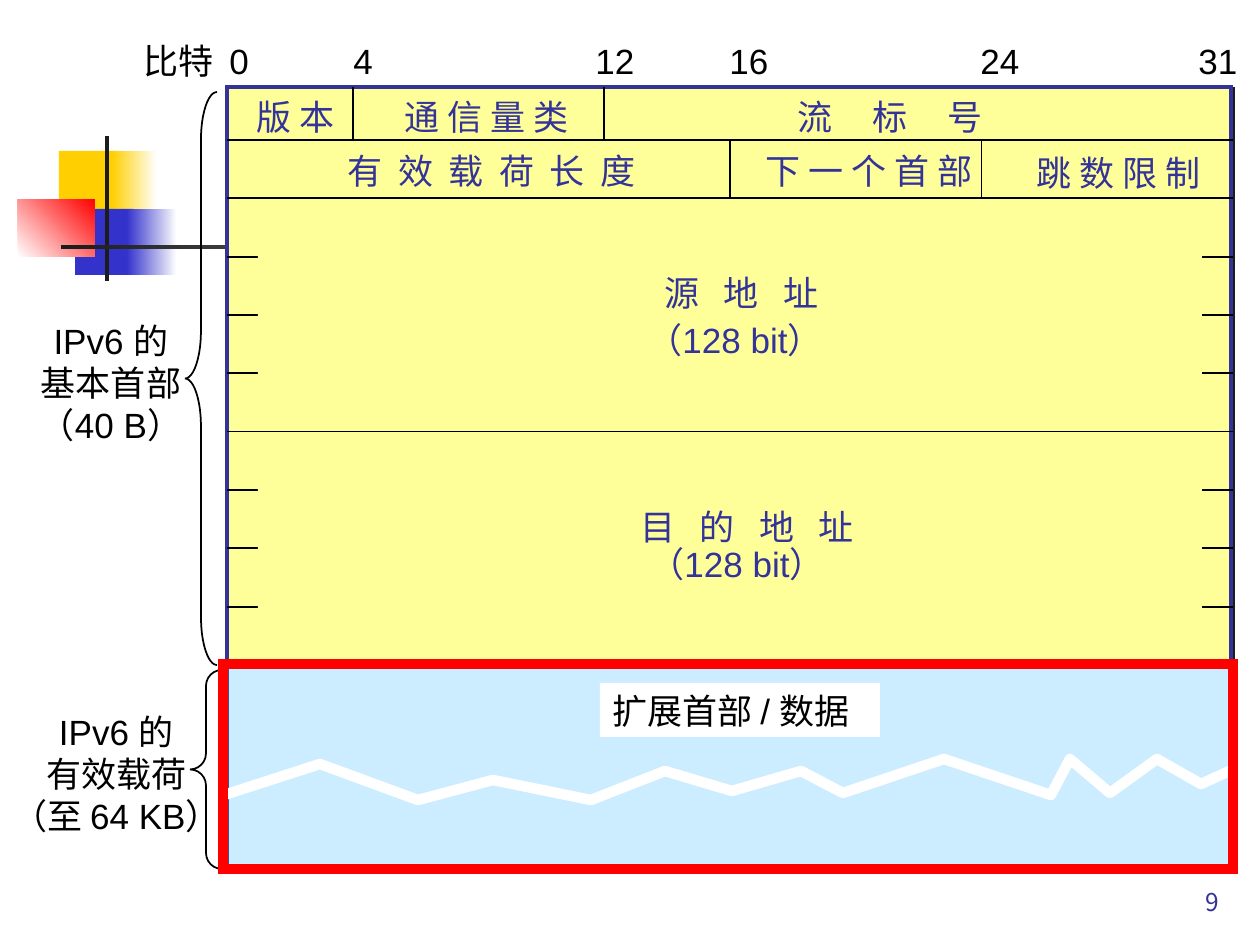
import pptx
import pptx.util
from lxml import etree
from pptx.dml.color import RGBColor
from pptx.enum.shapes import MSO_CONNECTOR, MSO_SHAPE
from pptx.enum.text import MSO_ANCHOR, PP_ALIGN
from pptx.oxml.ns import qn

SCALE = 914400 / 126
BLACK, WHITE, NAVY, RED = "000000", "FFFFFF", "333399", "FF0000"
YELLOW, SKY, CHARCOAL = "FFFF99", "CCECFF", "1C1C1C"
TEXT_HEIGHT = 54


def px(value):
    return pptx.util.Emu(round(value * SCALE))


def color(value):
    return RGBColor.from_string(value)


def set_line(shape, line_color, width):
    shape.line.color.rgb = color(line_color)
    shape.line.width = pptx.util.Pt(width)


def add_box(slide, left, top, width, height, fill=None, line=None,
            kind=MSO_SHAPE.RECTANGLE):
    """Fill is a colour, a (start, end, angle) gradient or None."""
    shape = slide.shapes.add_shape(kind, px(left), px(top), px(width), px(height))
    shape.shadow.inherit = False
    if fill is None:
        shape.fill.background()
    elif isinstance(fill, str):
        shape.fill.solid()
        shape.fill.fore_color.rgb = color(fill)
    else:
        shape.fill.gradient()
        shape.fill.gradient_angle = fill[2]
        for stop, stop_color in zip(shape.fill.gradient_stops, fill):
            stop.color.rgb = color(stop_color)
    if line:
        set_line(shape, *line)
        # Square corners
        etree.SubElement(shape._element.spPr.find(qn("a:ln")), qn("a:miter"),
                         lim="800000")
    else:
        shape.line.fill.background()
    return shape


def add_rule(slide, x1, y1, x2, y2):
    rule = slide.shapes.add_connector(
        MSO_CONNECTOR.STRAIGHT, px(x1), px(y1), px(x2), px(y2))
    set_line(rule, BLACK, 1)
    etree.SubElement(rule._element.spPr, qn("a:effectLst"))


def write(shape, text, text_color=BLACK, align=PP_ALIGN.LEFT, spacing=0,
          size=20, font="Arial"):
    """Spacing is extra letter spacing in hundredths of a point."""
    frame = shape.text_frame
    frame.word_wrap = False
    frame.text = text
    for paragraph in frame.paragraphs:
        paragraph.alignment = align
        for run in paragraph.runs:
            run.font.size = pptx.util.Pt(size)
            run.font.name = font
            run.font.color.rgb = color(text_color)
            if spacing:
                run._r.get_or_add_rPr().set("spc", str(spacing))


def add_label(slide, left, top, width, text, height=TEXT_HEIGHT, **style):
    box = slide.shapes.add_textbox(px(left), px(top), px(width), px(height))
    write(box, text, **style)
    return box


def add_decoration(slide, left, top):
    parts = [
        (41, 15, 60, 66, "FFCF01"),
        (94, 15, 45, 66, ("FFCF01", WHITE, 0)),
        (57, 73, 58, 66, "3333CC"),
        (109, 73, 50, 66, ("3333CC", WHITE, 0)),
        (0, 63, 77, 58, (WHITE, RED, 45)),
        (87, 0, 4, 145, CHARCOAL),
        (43, 109, 1134, 4, (CHARCOAL, WHITE, 0)),
    ]
    for x, y, width, height, fill in parts:
        add_box(slide, left + x, top + y, width, height, fill)


def add_bit_scale(slide, left, top):
    labels = [(0, 96, "比特"), (86, 44, "0"), (210, 44, "4"), (452, 64, "12"),
              (586, 64, "16"), (837, 64, "24"), (1055, 64, "31")]
    for x, width, text in labels:
        add_label(slide, left + x, top, width, text)


def add_header(slide, left, top, width):
    first_row, row_height = 53, 175 / 3

    def row_top(row):
        return top + first_row + row * row_height

    # Packet body with a thin hard shadow
    body = add_box(slide, left, top, 1004, 782, YELLOW, (NAVY, 2.25))
    effects = body._element.spPr.find(qn("a:effectLst"))
    shadow = etree.SubElement(effects, qn("a:outerShdw"), dist="17780",
                              dir="2700000", algn="ctr", rotWithShape="0")
    etree.SubElement(shadow, qn("a:srgbClr"), val=CHARCOAL)

    # 32-bit rows, with only ticks left inside each address
    for row in range(10):
        add_rule(slide, left, row_top(row), left + width, row_top(row))
    for first_tick in (2, 6):
        add_box(slide, left + 31, row_top(first_tick) - 19, 944, 156, YELLOW)

    # Field borders by bit number
    for bit, y1, y2 in [(4, top, row_top(0)), (12, top, row_top(0)),
                        (16, row_top(0), row_top(1)), (24, row_top(0), row_top(1))]:
        x = left + bit * width / 32
        add_rule(slide, x, y1, x, y2)

    # Field names: left, top, width, text, letter spacing
    fields = [
        (17, 2, 103, "版 本", 0), (165, 2, 189, "通 信 量 类", 0),
        (558, 2, 230, "流 标 号", 925), (108, 56, 324, "有 效 载 荷 长 度", 220),
        (526, 56, 232, "下 一 个 首 部", 0), (797, 58, 189, "跳 数 限 制", 0),
        (425, 178, 192, "源 地 址", 470), (401, 412, 250, "目 的 地 址", 470),
        (424, 225, 217, "（128 bit）", 0), (426, 449, 217, "（128 bit）", 0),
    ]
    for x, y, field_width, text, spacing in fields:
        # The 128-bit captions are centred on their boxes
        centred = text.startswith("（")
        add_label(slide, left + x - 16 * centred, top + y, field_width, text,
                  text_color=NAVY, spacing=spacing)


def add_payload(slide, left, top):
    add_box(slide, left + 6, top + 4, 1002, 202, SKY)
    caption = add_box(slide, left + 377, top + 19, 280, TEXT_HEIGHT, WHITE)
    write(caption, "扩展首部 / 数据")

    # Torn line across the data
    points = [(-8, 134), (97, 100), (195, 136), (270, 116), (368, 136),
              (442, 107), (509, 127), (578, 107), (620, 129), (721, 95),
              (828, 131), (847, 95), (887, 129), (934, 95), (978, 120), (1037, 93)]
    vertices = [(px(left + x), px(top + y)) for x, y in points]
    builder = slide.shapes.build_freeform(*vertices[0], scale=1.0)
    builder.add_line_segments(vertices[1:], close=False)
    tear = builder.convert_to_shape()
    tear.shadow.inherit = False
    tear.fill.background()
    set_line(tear, WHITE, 6)


def add_bracket(slide, left, top, height, text, text_box):
    brace = add_box(slide, left, top, 32, height, None, (BLACK, 1),
                    MSO_SHAPE.LEFT_BRACE)
    brace.adjustments[0] = 1.5 if height > 300 else 0.5
    x, y, width = text_box
    add_label(slide, left + x, top + y, width, text, height=139,
              align=PP_ALIGN.CENTER)


def main():
    presentation = pptx.Presentation()
    presentation.slide_width, presentation.slide_height = px(1260), px(945)
    slide = presentation.slides.add_slide(presentation.slide_layouts[6])

    add_decoration(slide, 18, 136)
    number = add_label(slide, 970, 860, 262, "9", height=63, text_color=NAVY,
                       align=PP_ALIGN.RIGHT, size=14, font="Noto Sans CJK JP")
    number.text_frame.word_wrap = True
    number.text_frame.vertical_anchor = MSO_ANCHOR.BOTTOM

    add_header(slide, 227, 87, 1006)
    add_bit_scale(slide, 131, 33)
    add_payload(slide, 223, 664)
    add_bracket(slide, 185, 92, 573, "IPv6 的\n基本首部\n（40 B）", (-166, 221, 184))
    add_bracket(slide, 190, 670, 199, "IPv6 的\n有效载荷\n（至 64 KB）", (-199, 34, 251))
    # Payload frame
    add_box(slide, 223, 664, 1010, 205, None, (RED, 6))

    presentation.save("out.pptx")


if __name__ == "__main__":
    main()
